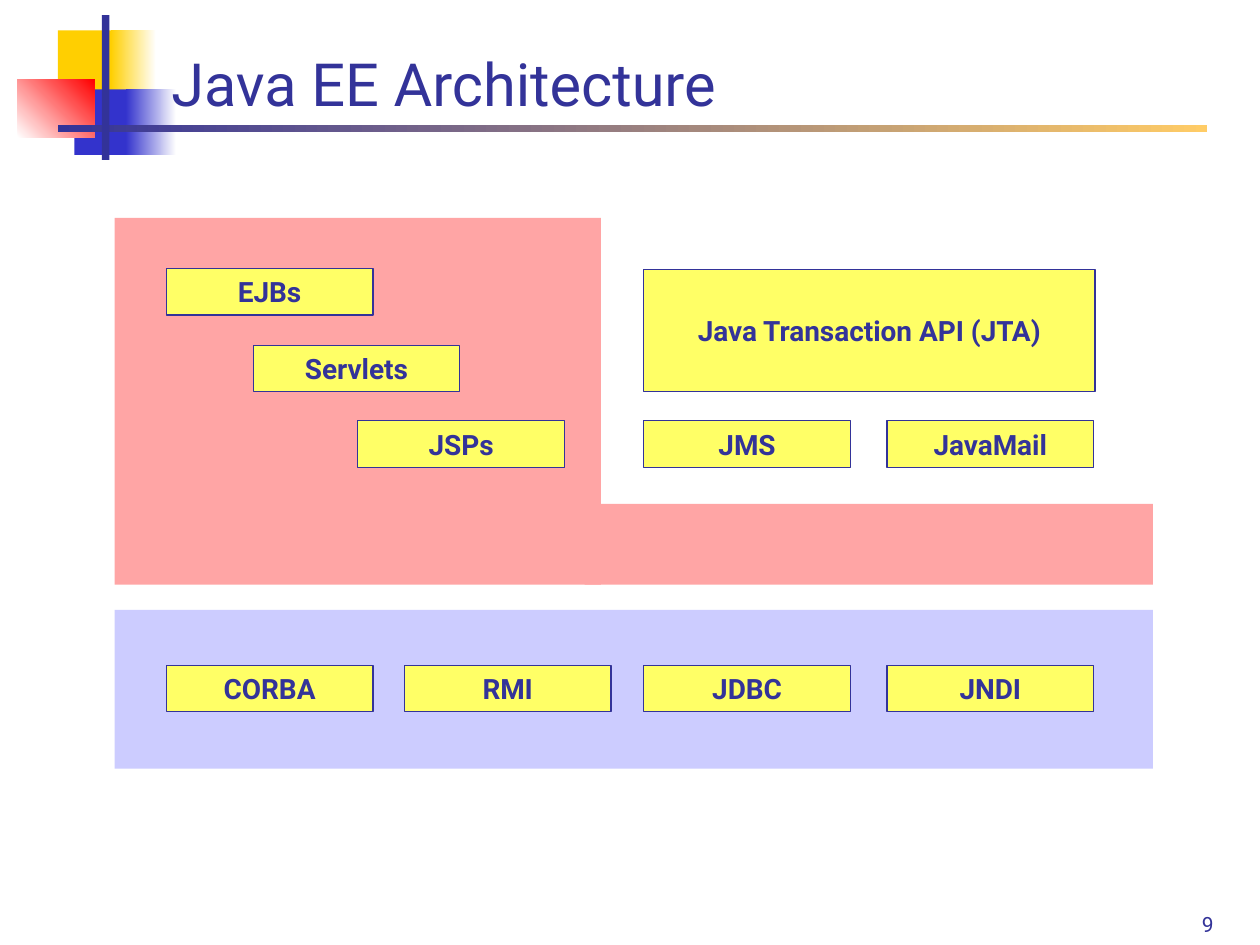
from dataclasses import dataclass

from pptx import Presentation
from pptx.dml.color import RGBColor
from pptx.enum.shapes import MSO_SHAPE
from pptx.enum.text import MSO_ANCHOR, PP_ALIGN
from pptx.util import Inches, Pt

RECT = MSO_SHAPE.RECTANGLE
LEFT, CENTER, RIGHT = PP_ALIGN.LEFT, PP_ALIGN.CENTER, PP_ALIGN.RIGHT
MIDDLE, BOTTOM = MSO_ANCHOR.MIDDLE, MSO_ANCHOR.BOTTOM
TITLE_ONLY = 5


@dataclass(frozen=True)
class Theme:
    font: str = "Roboto"
    navy: str = "333399"
    blue: str = "3333CC"
    gold: str = "FFCF01"
    sand: str = "FFCC66"
    red: str = "FF0000"
    white: str = "FFFFFF"
    pink: str = "FFA5A5"
    lilac: str = "CCCCFF"
    yellow: str = "FFFF66"
    title: int = 34
    label: int = 16
    number: int = 12


def rgb(code):
    return RGBColor.from_string(code)


def write(frame, text, *, font, size, color, bold=False,
          align=LEFT, anchor=MIDDLE, wrap=True):
    frame.word_wrap = wrap
    frame.vertical_anchor = anchor
    para = frame.paragraphs[0]
    para.alignment = align
    run = para.add_run()
    run.text = text
    run.font.name = font
    run.font.size = Pt(size)
    run.font.bold = bold
    run.font.color.rgb = rgb(color)


class Painter:
    """Draws themed elements on one slide."""

    def __init__(self, slide, theme):
        self.slide = slide
        self.theme = theme

    def rect(self, x, y, w, h, color):
        shape = self.slide.shapes.add_shape(
            RECT, Inches(x), Inches(y), Inches(w), Inches(h))
        shape.shadow.inherit = False
        shape.fill.solid()
        shape.fill.fore_color.rgb = rgb(color)
        shape.line.fill.background()
        return shape

    def fade(self, x, y, w, h, start, end, angle=0):
        """Draw a two-colour gradient; the angle runs counter-clockwise."""
        fill = self.rect(x, y, w, h, start).fill
        fill.gradient()
        fill.gradient_angle = angle
        for stop, color in zip(fill.gradient_stops, (start, end)):
            stop.color.rgb = rgb(color)

    def box(self, text, x, y, w=1.64, h=0.37):
        t = self.theme
        shape = self.rect(x, y, w, h, t.yellow)
        shape.line.color.rgb = rgb(t.navy)
        shape.line.width = Pt(0.75)
        write(shape.text_frame, text, font=t.font, size=t.label,
              color=t.navy, bold=True, align=CENTER, wrap=False)

    def title(self, text, x, y, w, h):
        t = self.theme
        shape = self.slide.shapes.title
        shape.left, shape.top = Inches(x), Inches(y)
        shape.width, shape.height = Inches(w), Inches(h)
        write(shape.text_frame, text, font=t.font, size=t.title,
              color=t.navy, anchor=BOTTOM)
        # Bring the title in front of the ornament.
        self.slide.shapes._spTree.append(shape._element)

    def number(self, text, x, y, w, h):
        t = self.theme
        shape = self.slide.shapes.add_textbox(
            Inches(x), Inches(y), Inches(w), Inches(h))
        write(shape.text_frame, text, font=t.font, size=t.number,
              color=t.navy, align=RIGHT, anchor=BOTTOM)

    def ornament(self):
        t = self.theme
        self.rect(0.46, 0.24, 0.48, 0.52, t.gold)
        self.fade(0.88, 0.24, 0.36, 0.52, t.gold, t.white)
        self.rect(0.59, 0.71, 0.46, 0.52, t.blue)
        self.fade(1, 0.71, 0.4, 0.52, t.blue, t.white)
        self.fade(0.14, 0.63, 0.61, 0.46, t.white, t.red, angle=45)
        self.fade(0.46, 0.99, 9.12, 0.06, t.navy, t.sand)
        self.rect(0.81, 0.12, 0.06, 1.15, t.navy)


def main():
    deck = Presentation()
    deck.slide_width, deck.slide_height = Inches(10), Inches(7.5)
    slide = deck.slides.add_slide(deck.slide_layouts[TITLE_ONLY])
    theme = Theme()
    art = Painter(slide, theme)

    art.ornament()
    art.number("9", 6.56, 6.98, 3.17, 0.5)
    art.title("Java EE Architecture", 1.26, 0.23, 8.52, 0.76)

    cols = (1.32, 3.21, 5.11, 7.04)
    art.rect(0.91, 4.84, 8.24, 1.26, theme.lilac)
    for text, x in zip(("CORBA", "RMI", "JDBC", "JNDI"), cols):
        art.box(text, x, 5.28)

    art.rect(0.91, 1.73, 3.86, 2.91, theme.pink)
    art.rect(4.64, 4, 4.51, 0.64, theme.pink)
    steps = (("EJBs", cols[0], 2.13), ("Servlets", 2.01, 2.74),
             ("JSPs", 2.84, 3.34))
    for text, x, y in steps:
        art.box(text, x, y)
    for text, x in zip(("JMS", "JavaMail"), cols[2:]):
        art.box(text, x, 3.34)
    art.box("Java Transaction API (JTA)", cols[2], 2.14, 3.58, 0.97)

    deck.save("out.pptx")


if __name__ == "__main__":
    main()
